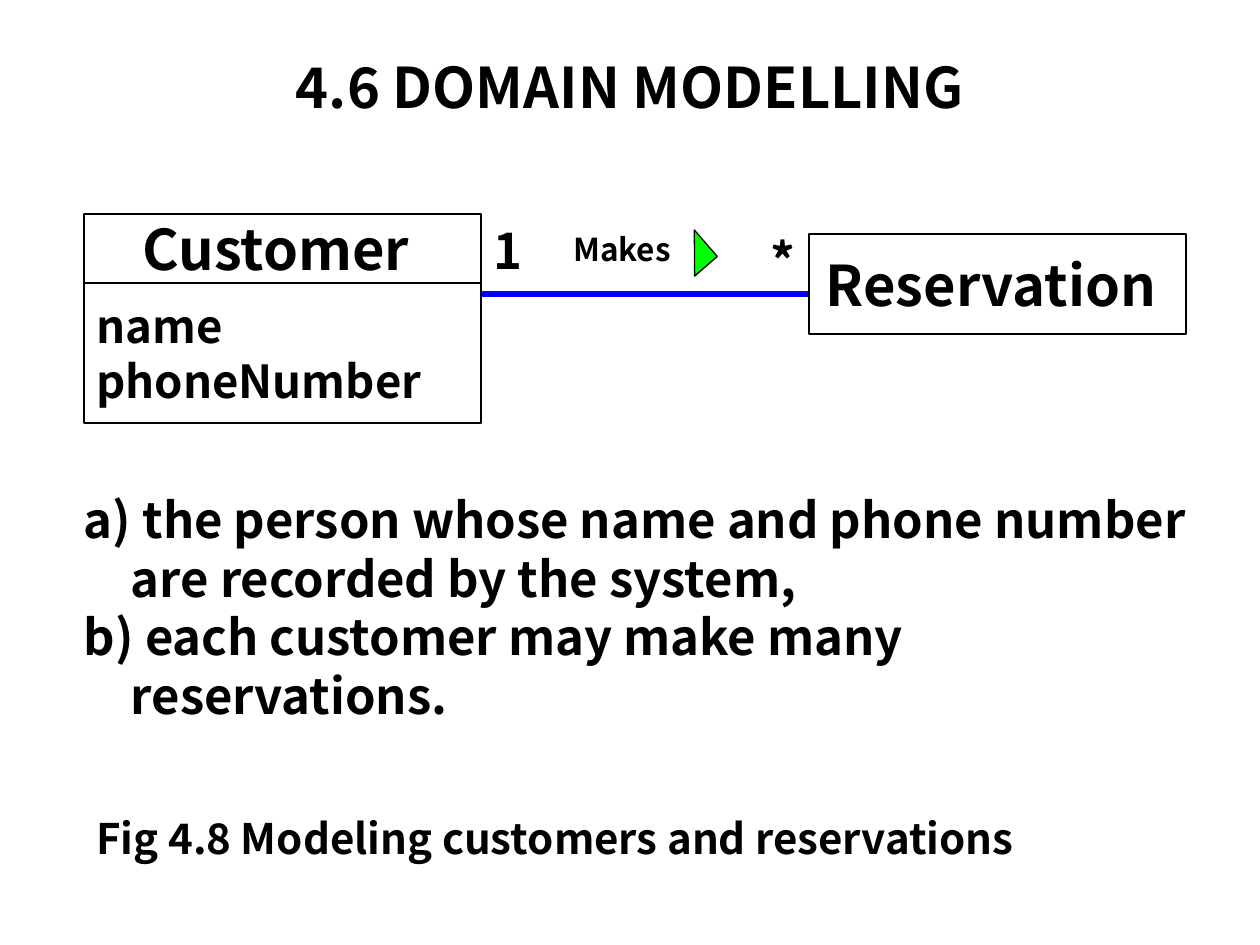
from lxml.etree import SubElement
from pptx import Presentation
from pptx.dml.color import RGBColor
from pptx.enum.shapes import MSO_CONNECTOR, MSO_SHAPE
from pptx.enum.text import MSO_ANCHOR, PP_ALIGN
from pptx.oxml.ns import qn
from pptx.util import Emu, Pt

PX = 914400 / 126
FONT = "Noto Sans CJK SC"
BLACK = RGBColor(0x00, 0x00, 0x00)
BLUE = RGBColor(0x00, 0x00, 0xFF)
GREEN = RGBColor(0x00, 0xFF, 0x00)


def px(*lengths):
    """Turn pixel lengths into EMU."""
    return [Emu(round(length * PX)) for length in lengths]


def write(shape, text, size, align=PP_ALIGN.LEFT, anchor=MSO_ANCHOR.TOP, wrap=True):
    """Fill a shape with bold black text."""
    frame = shape.text_frame
    frame.text = text
    frame.word_wrap = wrap
    frame.vertical_anchor = anchor
    for para in frame.paragraphs:
        para.alignment = align
        for span in para.runs:
            span.font.name = FONT
            span.font.size = Pt(size)
            span.font.bold = True
            span.font.color.rgb = BLACK
    return frame


def add_label(page, box, text, size):
    """Add a text box with one style of text."""
    return write(page.shapes.add_textbox(*px(*box)), text, size)


def add_compartment(shapes, box, text, size, align):
    """Add one outlined part of a class box."""
    part = shapes.add_shape(MSO_SHAPE.RECTANGLE, *px(*box))
    part.shadow.inherit = False
    part.fill.background()
    part.line.color.rgb = BLACK
    part.line.width = Pt(0.75)
    write(part, text, size, align, MSO_ANCHOR.MIDDLE, wrap=False)


def add_title(page, box, text):
    """Place and format the title placeholder."""
    title = page.shapes.title
    title.left, title.top, title.width, title.height = px(*box)
    write(title, text, 32, PP_ALIGN.CENTER, MSO_ANCHOR.MIDDLE)


def add_customer(page, box):
    """Group the name and attribute compartments of the customer class."""
    left, top, width, height = box
    head = height // 3
    shapes = page.shapes.add_group_shape().shapes
    add_compartment(shapes, (left, top, width, head), "Customer ", 32, PP_ALIGN.CENTER)
    add_compartment(shapes, (left, top + head, width, height - head),
                    "name\nphoneNumber", 26, PP_ALIGN.LEFT)


def add_association(page, box):
    """Draw the association line with its labels and reading direction."""
    left, top, width, height = box
    line = page.shapes.add_connector(
        MSO_CONNECTOR.STRAIGHT, *px(left, top + height, left + width, top + height))
    line.line.color.rgb = BLUE
    line.line.width = Pt(3)
    SubElement(line._element.spPr, qn("a:effectLst"))
    add_label(page, (left, top, 39, 72), "1", 28)
    add_label(page, (left + 277, top + 10, 39, 72), "*", 28)
    add_label(page, (left + 80, top + 10, 179, 50), "Makes", 18)
    arrow = page.shapes.add_shape(
        MSO_SHAPE.RIGHT_TRIANGLE, *px(left + 196, top + 24, 35, 30))
    arrow.rotation = 229
    arrow.shadow.inherit = False
    arrow.fill.solid()
    arrow.fill.fore_color.rgb = GREEN
    arrow.line.color.rgb = BLACK
    arrow.line.width = Pt(0.75)


def add_notes_list(page, box, items):
    """Add a lettered list with a hanging indent."""
    frame = add_label(page, box, "\n".join(items), 28)
    frame.margin_left = frame.margin_right = 0
    indent = px(47)[0]
    for para in frame.paragraphs:
        properties = para._p.get_or_add_pPr()
        properties.set("marL", str(indent))
        properties.set("indent", str(-indent))
        SubElement(properties, qn("a:buFont"), typeface=FONT)
        SubElement(properties, qn("a:buAutoNum"), type="alphaLcParenR")


def main():
    """Build the domain modelling slide."""
    deck = Presentation()
    deck.slide_width, deck.slide_height = px(1260, 945)
    page = deck.slides.add_slide(deck.slide_layouts[5])
    add_title(page, (63, 38, 1134, 97), "4.6 DOMAIN MODELLING")
    add_association(page, (481, 214, 328, 80))
    add_compartment(page.shapes, (809, 234, 377, 100), "Reservation ", 32, PP_ALIGN.CENTER)
    add_customer(page, (84, 214, 397, 209))
    add_notes_list(page, (84, 483, 1142, 248), [
        " the person whose name and phone number are recorded by the system,",
        " each customer may make many reservations.",
    ])
    add_label(page, (84, 806, 1032, 63), "Fig 4.8 Modeling customers and reservations", 24)
    deck.save("out.pptx")


if __name__ == "__main__":
    main()
